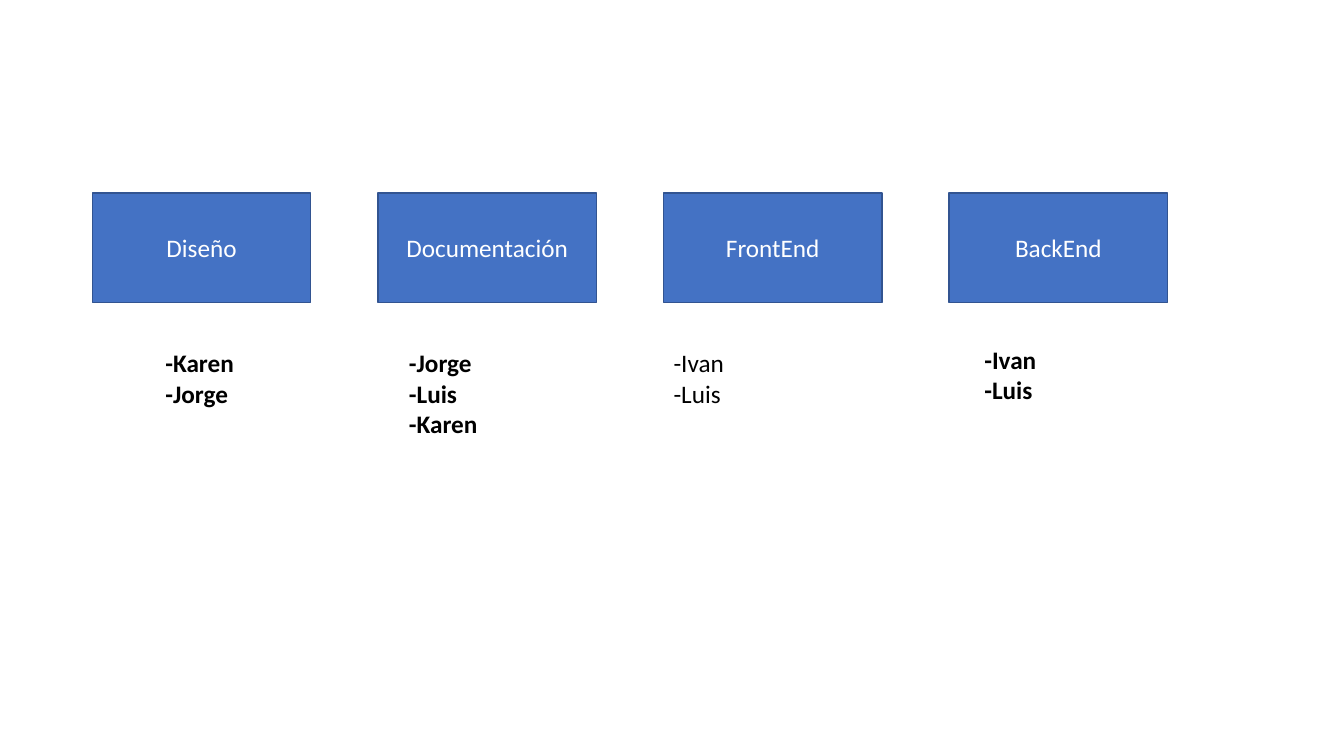
from dataclasses import dataclass
from pptx import Presentation
from pptx.dml.color import RGBColor
from pptx.enum.shapes import MSO_SHAPE
from pptx.enum.text import MSO_ANCHOR, PP_ALIGN
from pptx.util import Inches, Pt


@dataclass(frozen=True)
class Theme:
    font: str = "Calibri"
    size: int = 18
    fill: str = "4472C4"
    line: str = "325491"
    light: str = "FFFFFF"
    dark: str = "000000"


THEME = Theme()
COLS, ROWS = 160, 90
LEFT, TOP, PITCH = 11, 23, 34
CARD_W, CARD_H = 26, 13
LIST_W, LINE_H, PAD_H = 11.25, 3.64, 1.2

TEAMS = [
    ("Diseño", ["-Karen", "-Jorge"], 7.5, 17.8, True),
    ("Documentación", ["-Jorge", "-Luis", "-Karen"], 2.5, 17.8, True),
    ("FrontEnd", ["-Ivan", "-Luis"], 0, 17.8, False),
    ("BackEnd", ["-Ivan", "-Luis"], 3, 17.4, True),
]

deck = Presentation()
deck.slide_width, deck.slide_height = Inches(13.33), Inches(7.5)


def place(col, row, wide, high):
    across, down = deck.slide_width / COLS, deck.slide_height / ROWS
    return [round(n) for n in (col * across, row * down, wide * across, high * down)]


def apply(item, values):
    for name, value in values.items():
        setattr(item, name, value)


def write(frame, lines, color, align, bold=False):
    frame.text = "\n".join(lines)
    frame.word_wrap = True
    for para in frame.paragraphs:
        para.alignment = align
        font = para.runs[0].font
        apply(font, {"name": THEME.font, "size": Pt(THEME.size), "bold": bold})
        font.color.rgb = RGBColor.from_string(color)


def add_card(slide, box, title):
    card = slide.shapes.add_shape(MSO_SHAPE.RECTANGLE, *place(*box))
    card.shadow.inherit = False
    card.fill.solid()
    card.fill.fore_color.rgb = RGBColor.from_string(THEME.fill)
    card.line.color.rgb = RGBColor.from_string(THEME.line)
    card.line.width = Pt(1)
    card.text_frame.vertical_anchor = MSO_ANCHOR.MIDDLE
    write(card.text_frame, [title], THEME.light, PP_ALIGN.CENTER)


def add_list(slide, box, names, bold):
    area = slide.shapes.add_textbox(*place(*box))
    write(area.text_frame, names, THEME.dark, PP_ALIGN.LEFT, bold)


def add_team(slide, col, row, team):
    title, names, shift, drop, bold = team
    add_card(slide, (col, row, CARD_W, CARD_H), title)
    high = PAD_H + LINE_H * len(names)
    add_list(slide, (col + shift, row + drop, LIST_W, high), names, bold)


def add_teams(slide, col, row):
    for index, team in enumerate(TEAMS):
        add_team(slide, col + index * PITCH, row, team)


add_teams(deck.slides.add_slide(deck.slide_layouts[6]), LEFT, TOP)
deck.save("out.pptx")
